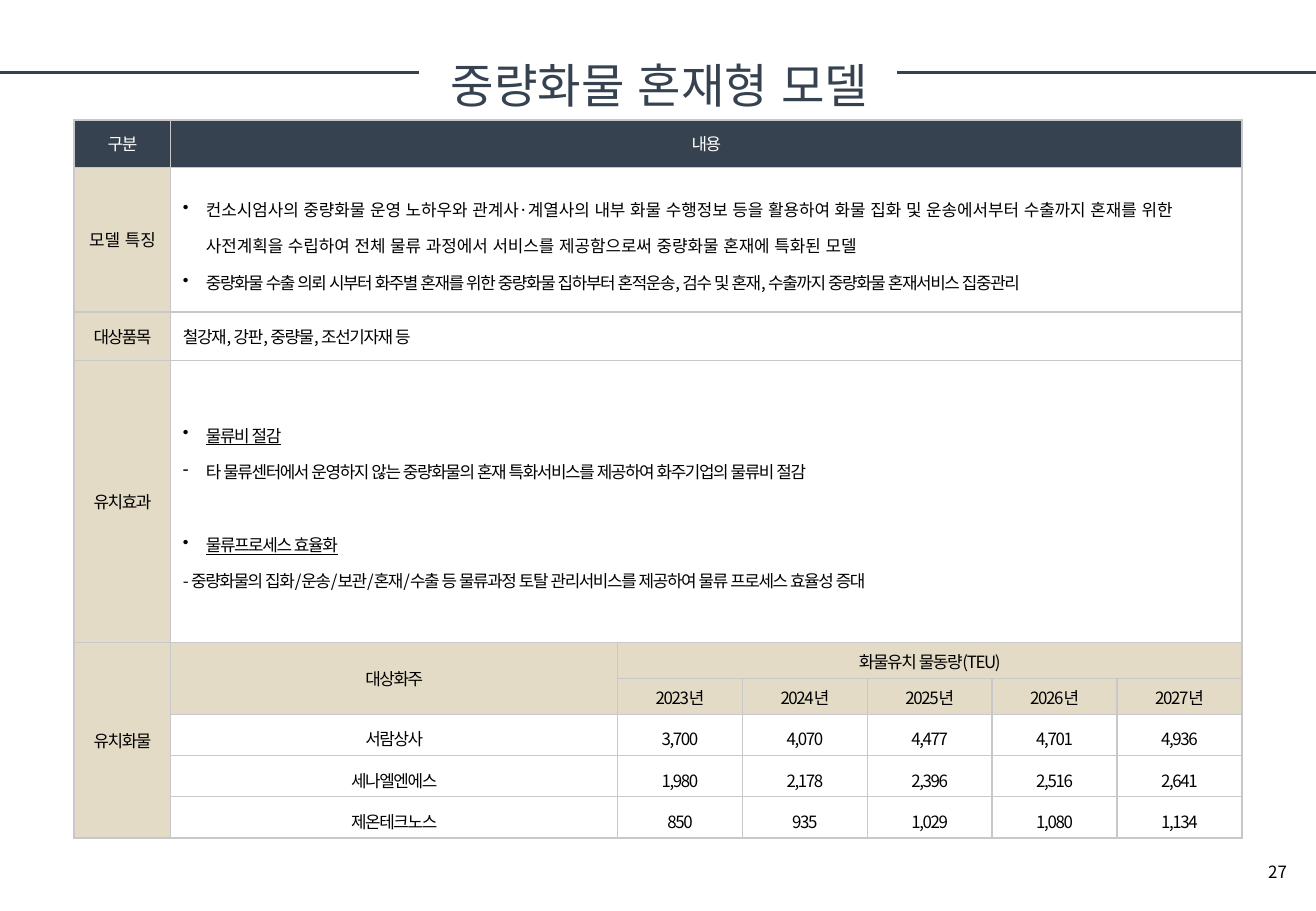
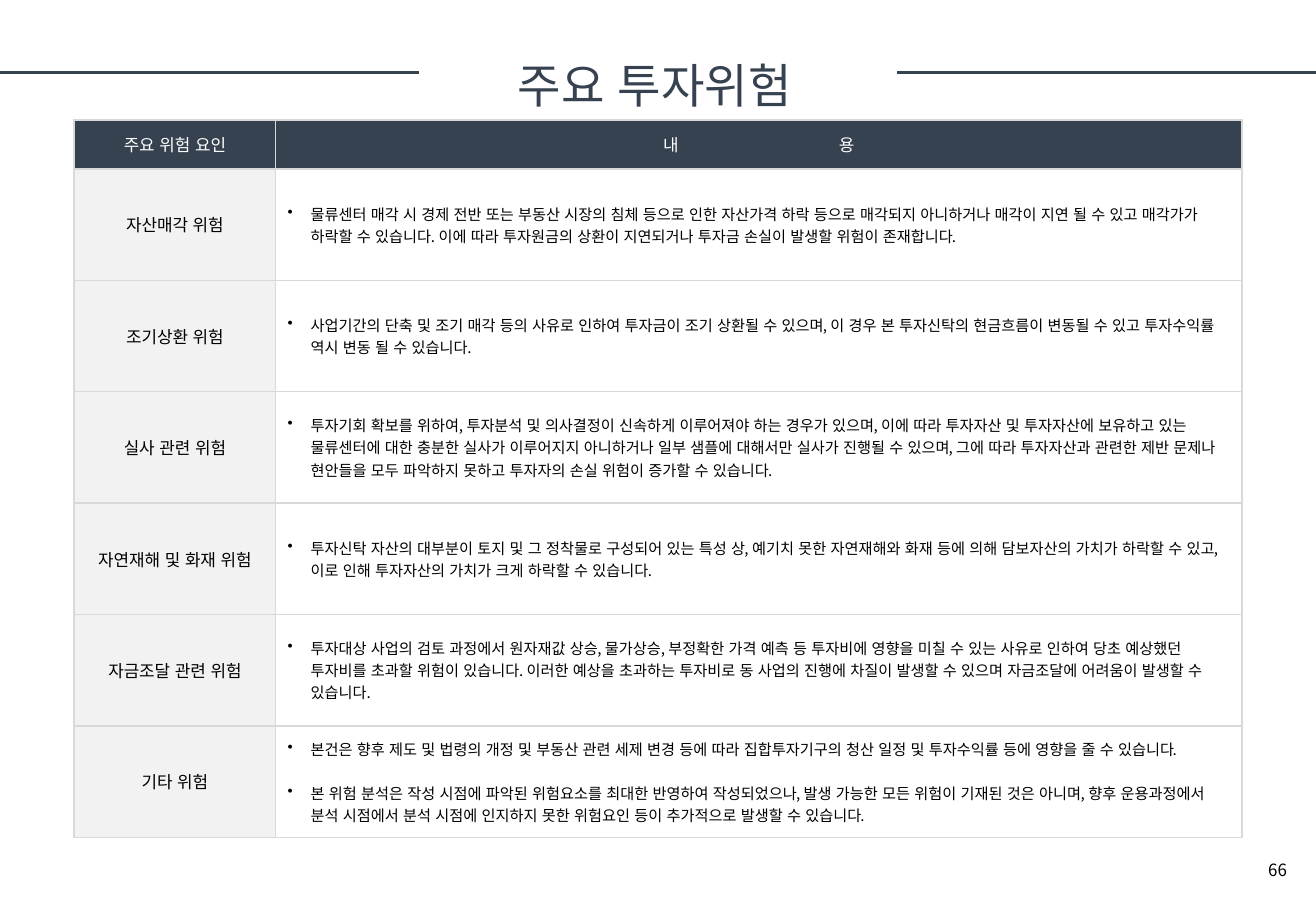
from lxml import etree
from pptx import Presentation
from pptx.dml.color import RGBColor
from pptx.enum import lang, shapes, text
from pptx.oxml import ns
from pptx.util import Cm, Pt

FONT = "Noto Sans CJK KR"
NAVY, BEIGE, GREY, WHITE, BLACK = "364250", "E4DBC6", "F2F2F2", "FFFFFF", "000000"
SLIDE_W, SLIDE_H = 27.51, 19.05
TABLE_BOX = (1.55, 2.51)
INDENT = 0.48
TIGHT = -0.8
LEFT, CENTER, RIGHT = text.PP_ALIGN.LEFT, text.PP_ALIGN.CENTER, text.PP_ALIGN.RIGHT

SHIPPERS = [
    ("서람상사", "3,700", "4,070", "4,477", "4,701", "4,936"),
    ("세나엘엔에스", "1,980", "2,178", "2,396", "2,516", "2,641"),
    ("제온테크노스", "850", "935", "1,029", "1,080", "1,134"),
]
RISKS = [
    ("자산매각 위험", ["물류센터 매각 시 경제 전반 또는 부동산 시장의 침체 등으로 인한 자산가격 하락 등으로 매각되지 아니하거나 매각이 지연 될 수 있고 매각가가 하락할 수 있습니다. 이에 따라 투자원금의 상환이 지연되거나 투자금 손실이 발생할 위험이 존재합니다."]),
    ("조기상환 위험", ["사업기간의 단축 및 조기 매각 등의 사유로 인하여 투자금이 조기 상환될 수 있으며, 이 경우 본 투자신탁의 현금흐름이 변동될 수 있고 투자수익률 역시 변동 될 수 있습니다."]),
    ("실사 관련 위험", ["투자기회 확보를 위하여, 투자분석 및 의사결정이 신속하게 이루어져야 하는 경우가 있으며, 이에 따라 투자자산 및 투자자산에 보유하고 있는 물류센터에 대한 충분한 실사가 이루어지지 아니하거나 일부 샘플에 대해서만 실사가 진행될 수 있으며, 그에 따라 투자자산과 관련한 제반 문제나 현안들을 모두 파악하지 못하고 투자자의 손실 위험이 증가할 수 있습니다."]),
    ("자연재해 및 화재 위험", ["투자신탁 자산의 대부분이 토지 및 그 정착물로 구성되어 있는 특성 상, 예기치 못한 자연재해와 화재 등에 의해 담보자산의 가치가 하락할 수 있고, 이로 인해 투자자산의 가치가 크게 하락할 수 있습니다."]),
    ("자금조달 관련 위험", ["투자대상 사업의 검토 과정에서 원자재값 상승, 물가상승, 부정확한 가격 예측 등 투자비에 영향을 미칠 수 있는 사유로 인하여 당초 예상했던 투자비를 초과할 위험이 있습니다. 이러한 예상을 초과하는 투자비로 동 사업의 진행에 차질이 발생할 수 있으며 자금조달에 어려움이 발생할 수 있습니다."]),
    ("기타 위험", [
        "본건은 향후 제도 및 법령의 개정 및 부동산 관련 세제 변경 등에 따라 집합투자기구의 청산 일정 및 투자수익률 등에 영향을 줄 수 있습니다.",
        "본 위험 분석은 작성 시점에 파악된 위험요소를 최대한 반영하여 작성되었으나, 발생 가능한 모든 위험이 기재된 것은 아니며, 향후 운용과정에서 분석 시점에서 분석 시점에 인지하지 못한 위험요인 등이 추가적으로 발생할 수 있습니다."]),
]


def rgb(value):
    """Turn a hex string into a colour."""
    return RGBColor.from_string(value)


def sub(parent, tag, **attrs):
    """Append a DrawingML element."""
    return etree.SubElement(parent, ns.qn(tag), **attrs)


def style_run(r, size, color, spacing=0, underline=False):
    """Format one run in the deck font."""
    r.font.size = Pt(size)
    r.font.color.rgb = rgb(color)
    r.font.name = FONT
    r.font.language_id = lang.MSO_LANGUAGE_ID.KOREAN
    if underline:
        r.font.underline = True
    rPr = r._r.get_or_add_rPr()
    sub(rPr, "a:ea", typeface=FONT)
    if spacing:
        rPr.set("spc", str(round(spacing * 100)))


def write(p, words, size=10, color=BLACK, align=LEFT, line=None, before=None,
          bullet=None, spacing=0, underline=False):
    """Fill and format one paragraph."""
    p.text = words
    if bullet:
        pPr = p._p.get_or_add_pPr()
        pPr.set("marL", str(Cm(INDENT)))
        pPr.set("indent", str(-Cm(INDENT)))
        sub(pPr, "a:buChar", char=bullet)
    p.alignment = align
    if line:
        p.line_spacing = line
    if before:
        p.space_before = Pt(before)
    for r in p.runs:
        style_run(r, size, color, spacing, underline)


def fill_cell(cell, paragraphs, fill=None, flush=False):
    """Fill a table cell from (words, options) pairs."""
    if fill:
        cell.fill.solid()
        cell.fill.fore_color.rgb = rgb(fill)
    cell.vertical_anchor = text.MSO_ANCHOR.MIDDLE
    if flush:
        cell.margin_left = cell.margin_right = cell.margin_top = cell.margin_bottom = 0
    tf = cell.text_frame
    for i, (words, options) in enumerate(paragraphs):
        write(tf.add_paragraph() if i else tf.paragraphs[0], words, **options)


def add_grid(s, left, top, widths, heights, border):
    """Add a plain table with even borders."""
    frame = s.shapes.add_table(len(heights), len(widths), Cm(left), Cm(top),
                               Cm(sum(widths)), Cm(sum(heights)))
    table = frame.table
    table.first_row = table.horz_banding = False
    for column, width in zip(table.columns, widths):
        column.width = Cm(width)
    for row, height in zip(table.rows, heights):
        row.height = Cm(height)
    for cell in table.iter_cells():
        tcPr = cell._tc.get_or_add_tcPr()
        for side in ("a:lnL", "a:lnR", "a:lnT", "a:lnB"):
            ln = sub(tcPr, side, w=str(Pt(1)))
            sub(sub(ln, "a:solidFill"), "a:srgbClr", val=border)
        cell.fill.background()
    return table


def add_title_rules(layout, s):
    """Draw the rules beside the title and hand them to the layout."""
    for start, end in ((8.76, 0), (18.76, SLIDE_W)):
        rule = s.shapes.add_connector(shapes.MSO_CONNECTOR.STRAIGHT,
                                      Cm(start), Cm(1.51), Cm(end), Cm(1.51))
        rule.line.color.rgb = rgb(NAVY)
        rule.line.width = Pt(1.75)
        sub(rule.element.spPr, "a:effectLst")
        layout.shapes.element.append(rule.element)


def add_frame(s, title, left, width, page, page_top):
    """Place the title and the page number."""
    sp = s.shapes.title
    sp.left, sp.top, sp.width, sp.height = Cm(left), 0, Cm(width), Cm(2.36)
    tf = sp.text_frame
    tf.auto_size = text.MSO_AUTO_SIZE.NONE
    tf.vertical_anchor = text.MSO_ANCHOR.MIDDLE
    write(tf.paragraphs[0], title, size=28, color=NAVY, line=2)
    number = s.shapes.add_textbox(Cm(20.95), Cm(page_top), Cm(6.2), Cm(1.02))
    number.text_frame.word_wrap = True
    number.text_frame.vertical_anchor = text.MSO_ANCHOR.MIDDLE
    write(number.text_frame.paragraphs[0], page, align=RIGHT)


def add_model_table(s, left, top):
    """Describe the cargo model and its volumes."""
    table = add_grid(s, left, top, [2.02, 9.34] + [2.61] * 5,
                     [0.99, 3.02, 1.02, 5.9, 0.75, 0.75] + [0.86] * 3, "C8C8CA")
    tight = dict(spacing=TIGHT)
    center = dict(tight, align=CENTER)
    item = dict(line=1.5, bullet="•")
    heading = dict(item, spacing=TIGHT, underline=True)
    for row in range(4):
        table.cell(row, 1).merge(table.cell(row, 6))
    table.cell(4, 0).merge(table.cell(8, 0))
    table.cell(4, 1).merge(table.cell(5, 1))
    table.cell(4, 2).merge(table.cell(4, 6))
    for col, words in enumerate(("구분", "내용")):
        fill_cell(table.cell(0, col), [(words, dict(center, color=WHITE))], NAVY)
    labels = {(1, 0): "모델 특징", (2, 0): "대상품목", (3, 0): "유치효과", (4, 0): "유치화물",
              (4, 1): "대상화주", (4, 2): "화물유치 물동량(TEU)"}
    labels.update({(5, 2 + i): f"{2023 + i}년" for i in range(5)})
    for place, words in labels.items():
        options = dict(align=CENTER) if place == (1, 0) else center
        fill_cell(table.cell(*place), [(words, options)], BEIGE)
    fill_cell(table.cell(1, 1), [
        ("컨소시엄사의 중량화물 운영 노하우와 관계사·계열사의 내부 화물 수행정보 등을 활용하여 화물 집화 및 운송에서부터 수출까지 혼재를 위한 사전계획을 수립하여 전체 물류 과정에서 서비스를 제공함으로써 중량화물 혼재에 특화된 모델", item),
        ("중량화물 수출 의뢰 시부터 화주별 혼재를 위한 중량화물 집하부터 혼적운송, 검수 및 혼재, 수출까지 중량화물 혼재서비스 집중관리", dict(item, spacing=TIGHT)),
    ])
    fill_cell(table.cell(2, 1), [("철강재, 강판, 중량물, 조선기자재 등", tight)])
    fill_cell(table.cell(3, 1), [
        ("물류비 절감", heading),
        ("타 물류센터에서 운영하지 않는 중량화물의 혼재 특화서비스를 제공하여 화주기업의 물류비 절감", dict(tight, line=1.5, bullet="-")),
        ("물류프로세스 효율화", dict(heading, before=21.7)),
        ("- 중량화물의 집화/운송/보관/혼재/수출 등 물류과정 토탈 관리서비스를 제공하여 물류 프로세스 효율성 증대", dict(tight, line=1.5)),
    ])
    for row, values in enumerate(SHIPPERS, 6):
        for col, value in enumerate(values, 1):
            fill_cell(table.cell(row, col), [(value, dict(center, line=1.3))], flush=True)


def add_risk_table(s, left, top):
    """List the investment risks."""
    table = add_grid(s, left, top, [4.21, 20.2], [1.02] + [2.33] * len(RISKS), "D9D9D9")
    header = dict(align=CENTER, color=WHITE)
    fill_cell(table.cell(0, 0), [("주요 위험 요인", header)], NAVY)
    fill_cell(table.cell(0, 1), [("내", dict(header, spacing=95))], NAVY)
    r = table.cell(0, 1).text_frame.paragraphs[0].add_run()
    r.text = "용"
    style_run(r, 10, WHITE)
    for row, (name, notes) in enumerate(RISKS, 1):
        fill_cell(table.cell(row, 0), [(name, dict(align=CENTER))], GREY)
        fill_cell(table.cell(row, 1),
                  [(note, dict(size=9, bullet="•", before=13 if i else None))
                   for i, note in enumerate(notes)], WHITE)


def main():
    """Build the deck."""
    prs = Presentation()
    prs.slide_width, prs.slide_height = Cm(SLIDE_W), Cm(SLIDE_H)
    layout = prs.slide_layouts[5]
    model = prs.slides.add_slide(layout)
    add_title_rules(layout, model)
    add_frame(model, "중량화물 혼재형 모델", 9.17, 10.39, "27", 17.73)
    add_model_table(model, *TABLE_BOX)
    risk = prs.slides.add_slide(layout)
    add_frame(risk, "주요 투자위험", 10.57, 6.4, "66", 17.68)
    add_risk_table(risk, *TABLE_BOX)
    prs.save("out.pptx")


if __name__ == "__main__":
    main()
